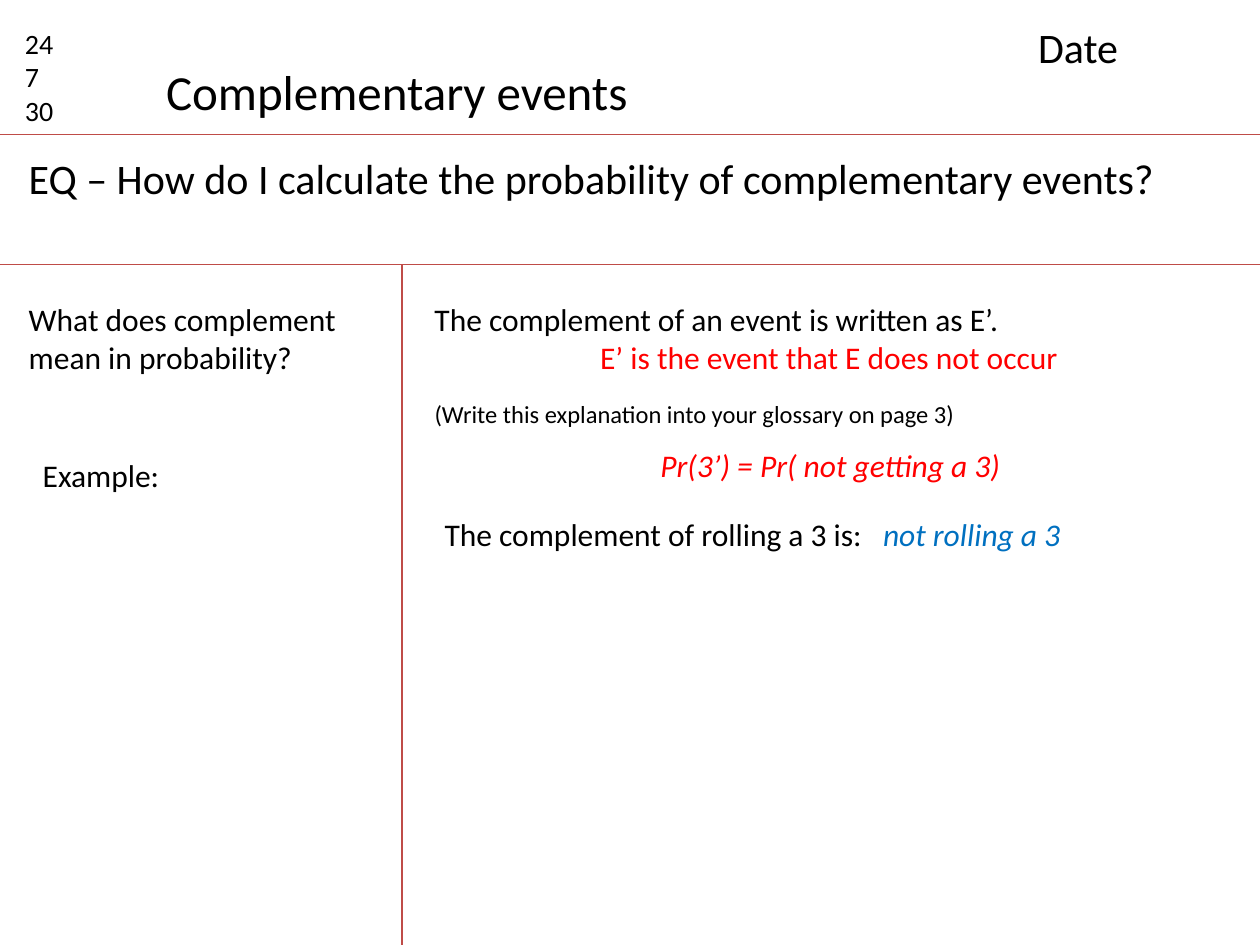
from dataclasses import dataclass, field
from typing import Any

from lxml import etree
from pptx import Presentation
from pptx import util as u
from pptx.dml.color import RGBColor
from pptx.enum import shapes, text
from pptx.oxml.ns import qn

COLOURS = {"ink": "000000", "rule": "BF4C48", "key": "FF0000", "answer": "0070C0"}
FONT = "Calibri"
HEADER_Y, QUESTION_Y, MARGIN_X = 1.07, 2.1, 3.19
CENTRED = {"alignment": text.PP_ALIGN.CENTER}


@dataclass(frozen=True)
class Rule:
    start: tuple[float, float]
    end: tuple[float, float]


@dataclass(frozen=True)
class Run:
    words: str
    colour: str = "ink"
    italic: bool = False


@dataclass(frozen=True)
class Line:
    runs: list[Run]
    layout: dict[str, Any] = field(default_factory=dict)
    tab: float | None = None


@dataclass(frozen=True)
class Note:
    place: tuple[float, float, float, float]
    size: int
    lines: list[Line]
    wrap: bool = True


RULES = [
    Rule((0, HEADER_Y), (10, HEADER_Y)),
    Rule((0, QUESTION_Y), (10, QUESTION_Y)),
    Rule((MARGIN_X, QUESTION_Y), (MARGIN_X, 7.69)),
]

NOTES = [
    Note((0.1, 0.16, 0.63, 0.91), 16, [Line([Run(number)]) for number in ("24", "7", "30")]),
    Note((1.22, 0.44, 3.9, 0.57), 28, [Line([Run("Complementary events")])], wrap=False),
    Note((8.14, 0.12, 1.73, 0.5), 24, [Line([Run("Date")])]),
    Note((0.13, 1.16, 9.43, 0.5), 24,
         [Line([Run("EQ – How do I calculate the probability of complementary events?")])]),
    Note((0.13, 2.33, 2.9, 0.71), 18,
         [Line([Run("What does complement mean in probability?")])]),
    Note((3.35, 2.33, 6.46, 0.71), 18, [
        Line([Run("The complement of an event is written as E’.")]),
        Line([Run("E’ is the event that E does not occur", "key")], CENTRED),
    ]),
    Note((3.35, 3.12, 6.52, 0.57), 14,
         [Line([Run("(Write this explanation into your glossary on page 3)")])]),
    Note((0.24, 3.57, 2.68, 0.4), 18, [Line([Run("Example:")])]),
    Note((3.43, 4.04, 5.98, 0.4), 18, [
        Line([Run("The complement of rolling a 3 is:\t"), Run("not rolling a 3", "answer", True)],
             {"space_after": u.Pt(6)}, tab=3.48),
    ]),
    Note((4.07, 3.49, 5.04, 0.4), 18,
         [Line([Run("Pr(3’) = Pr( not getting a 3)", "key", True)], CENTRED)]),
]


def apply(target: Any, values: dict[str, Any]) -> None:
    for name, value in values.items():
        setattr(target, name, value)


def draw_rule(slide: Any, rule: Rule) -> None:
    ends = [u.Inches(value) for value in (*rule.start, *rule.end)]
    connector = slide.shapes.add_connector(shapes.MSO_CONNECTOR.STRAIGHT, *ends)
    connector.line.width = u.Pt(0.75)
    connector.line.color.rgb = RGBColor.from_string(COLOURS["rule"])
    etree.SubElement(connector.element.spPr, qn("a:effectLst"))


def add_tab(paragraph: Any, position: float) -> None:
    stops = etree.SubElement(paragraph._p.get_or_add_pPr(), qn("a:tabLst"))
    etree.SubElement(stops, qn("a:tab"), pos=str(u.Inches(position)), algn="l")


def write_line(paragraph: Any, line: Line, size: int) -> None:
    if line.tab is not None:
        add_tab(paragraph, line.tab)
    apply(paragraph, line.layout)
    for part in line.runs:
        run = paragraph.add_run()
        run.text = part.words
        apply(run.font, {"name": FONT, "size": u.Pt(size), "italic": part.italic})
        run.font.color.rgb = RGBColor.from_string(COLOURS[part.colour])


def draw_note(slide: Any, note: Note) -> None:
    frame = slide.shapes.add_textbox(*map(u.Inches, note.place)).text_frame
    apply(frame, {"word_wrap": note.wrap, "auto_size": text.MSO_AUTO_SIZE.SHAPE_TO_FIT_TEXT})
    for index, line in enumerate(note.lines):
        paragraph = frame.add_paragraph() if index else frame.paragraphs[0]
        write_line(paragraph, line, note.size)


def main() -> None:
    deck = Presentation()
    apply(deck, {"slide_width": u.Inches(10), "slide_height": u.Inches(7.5)})
    slide = deck.slides.add_slide(deck.slide_layouts[6])
    for rule in RULES:
        draw_rule(slide, rule)
    for note in NOTES:
        draw_note(slide, note)
    deck.save("out.pptx")


if __name__ == "__main__":
    main()
